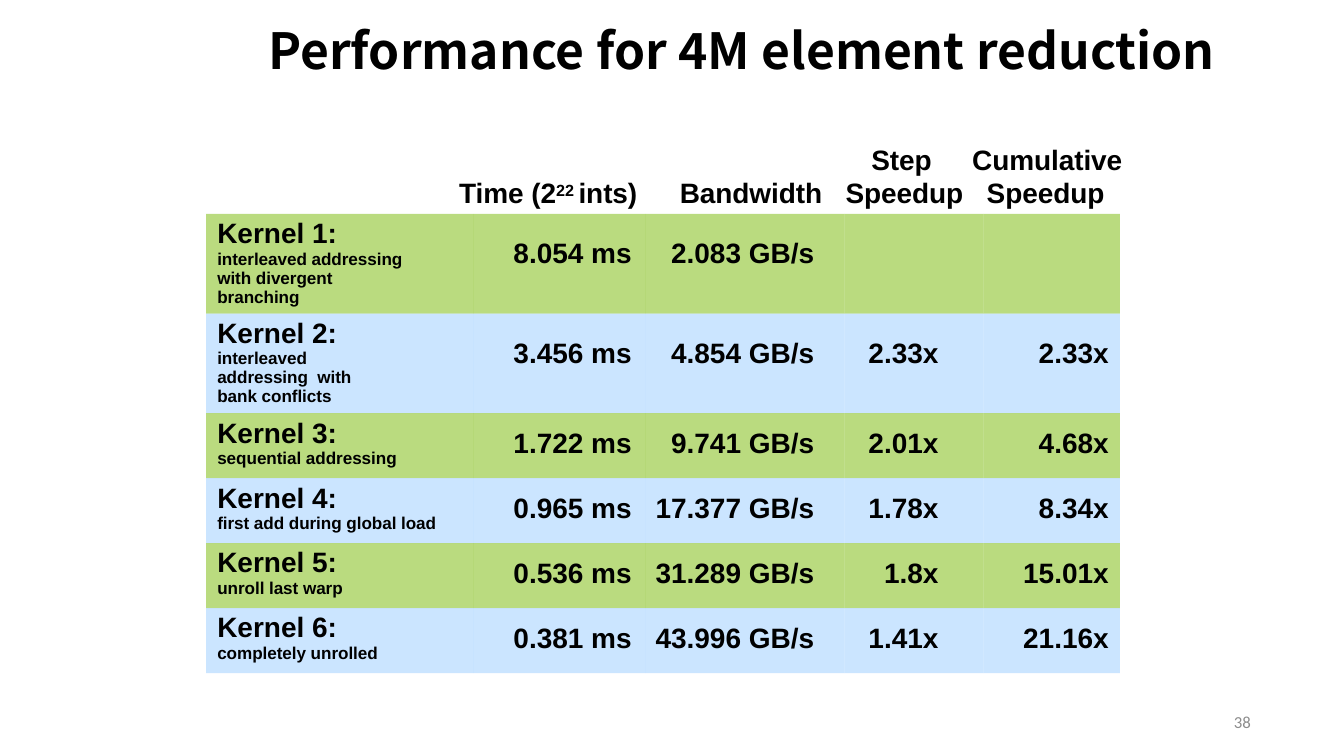
import pptx
import pptx.util
import pptx.dml.color
import pptx.enum.text
import pptx.oxml.ns
import lxml.etree

Inches, Pt = pptx.util.Inches, pptx.util.Pt
ALIGN, ANCHOR = pptx.enum.text.PP_ALIGN, pptx.enum.text.MSO_ANCHOR
qn = pptx.oxml.ns.qn

COLORS = {"text": "000000", "number": "8C8C8C", "green": "76B800", "blue": "99CCFF"}
TITLE = "Performance for 4M element reduction"
KERNELS = [
    ("Kernel 1:", "interleaved addressing with divergent branching", "8.054 ms", "2.083 GB/s", "", ""),
    ("Kernel 2:", "interleaved addressing  with bank conflicts", "3.456 ms", "4.854 GB/s", "2.33x", "2.33x"),
    ("Kernel 3:", "sequential addressing", "1.722 ms", "9.741 GB/s", "2.01x", "4.68x"),
    ("Kernel 4:", "first add during global load", "0.965 ms", "17.377 GB/s", "1.78x", "8.34x"),
    ("Kernel 5:", "unroll last warp", "0.536 ms", "31.289 GB/s", "1.8x", "15.01x"),
    ("Kernel 6:", "completely unrolled", "0.381 ms", "43.996 GB/s", "1.41x", "21.16x"),
]
HEADERS = [
    ([("Time (2", 0), ("22 ", 25), ("ints)", 0)], (4.06, 1.56, 1.83, 0.32), 0.04, 0),
    ([("Bandwidth", 0)], (6.06, 1.56, 1.32, 0.32), 0.01, 0),
    ([("Step Speedup", 0)], (7.54, 1.26, 1.23, 0.62), 0.01, 0.23),
    ([("Cumulative Speedup", 0)], (8.67, 1.26, 1.5, 0.62), 0.14, -0.13),
]
COL_WIDTHS = [2.39, 1.53, 1.78, 1.24, 1.22]
RIGHT_MARGINS = [0, 0.12, 0.27, 0.4, 0.1]
LABEL_MARGINS = {0: 0.57, 1: 0.88}
ROW_HEIGHTS = [0.89] * 2 + [0.58] * 4


def write(p, text, size=18, font="Arial", color="text", bold=True, align=ALIGN.LEFT,
          baseline=0, spacing=0, left=0, first=0):
    p.alignment = align
    pPr = p._p.get_or_add_pPr()
    pPr.set("marL", str(Inches(left)))
    pPr.set("indent", str(Inches(first)))
    r = p.add_run()
    r.text = text
    r.font.size, r.font.name, r.font.bold = Pt(size), font, bold
    r.font.color.rgb = pptx.dml.color.RGBColor.from_string(COLORS[color])
    rPr = r._r.get_or_add_rPr()
    rPr.set("spc", str(round(spacing * 100)))
    if baseline:
        rPr.set("baseline", str(baseline * 1000))


def set_frame(sp, box, anchor=ANCHOR.TOP, top=0.01):
    sp.left, sp.top, sp.width, sp.height = map(Inches, box)
    tf = sp.text_frame
    tf.word_wrap = True
    tf.auto_size = pptx.enum.text.MSO_AUTO_SIZE.NONE
    tf.vertical_anchor = anchor
    tf.margin_left = tf.margin_right = tf.margin_bottom = 0
    tf.margin_top = Inches(top)
    return tf.paragraphs[0]


def add_text(s, box, **kwargs):
    return set_frame(s.shapes.add_textbox(*map(Inches, box)), box, **kwargs)


def fill_cell(cell, color, top, right):
    cell.margin_left = cell.margin_bottom = 0
    cell.margin_top, cell.margin_right = Inches(top), Inches(right)
    cell.fill.solid()
    cell.fill.fore_color.rgb = pptx.dml.color.RGBColor.from_string(COLORS[color])
    clr = cell._tc.tcPr.find(".//" + qn("a:srgbClr"))
    lxml.etree.SubElement(clr, qn("a:alpha")).set("val", "50000")


def add_kernel_table(s):
    box = (1.84, 1.91, sum(COL_WIDTHS), sum(ROW_HEIGHTS))
    frame = s.shapes.add_table(len(KERNELS), len(COL_WIDTHS), *map(Inches, box))
    table = frame.table
    table.first_row = table.horz_banding = False
    style = table._tbl.tblPr.find(qn("a:tableStyleId"))
    style.text = "{2D5ABB26-0587-4C30-8999-92F81FD0307C}"
    for col, width in zip(table.columns, COL_WIDTHS):
        col.width = Inches(width)
    for i, (name, detail, *values) in enumerate(KERNELS):
        table.rows[i].height = Inches(ROW_HEIGHTS[i])
        color = ("green", "blue")[i % 2]
        label = table.cell(i, 0)
        fill_cell(label, color, 0.04, LABEL_MARGINS.get(i, 0))
        tf = label.text_frame
        write(tf.paragraphs[0], name, left=0.1)
        write(tf.add_paragraph(), detail, size=11, left=0.1, spacing=-0.05)
        for j, value in enumerate(values, 1):
            cell = table.cell(i, j)
            fill_cell(cell, color, 0.22 if i < 2 else 0.13, RIGHT_MARGINS[j])
            if value:
                write(cell.text_frame.paragraphs[0], value, align=ALIGN.RIGHT)


def main():
    prs = pptx.Presentation()
    prs.slide_width, prs.slide_height = Inches(12), Inches(6.75)
    s = prs.slides.add_slide(prs.slide_layouts[5])
    p = set_frame(s.shapes.title, (1.25, 0.16, 10.75, 0.55), anchor=ANCHOR.MIDDLE)
    write(p, TITLE, size=32, font="Noto Sans CJK SC", align=ALIGN.CENTER)
    add_kernel_table(s)
    for runs, box, left, first in HEADERS:
        p = add_text(s, box)
        for text, baseline in runs:
            write(p, text, baseline=baseline, left=left, first=first, spacing=-0.05)
    p = add_text(s, (8.47, 6.26, 2.7, 0.36), anchor=ANCHOR.MIDDLE, top=0)
    p.line_spacing = Pt(14.2)
    write(p, "38", size=10.8, font="Calibri", color="number", bold=False, align=ALIGN.RIGHT)
    prs.save("out.pptx")


if __name__ == "__main__":
    main()
